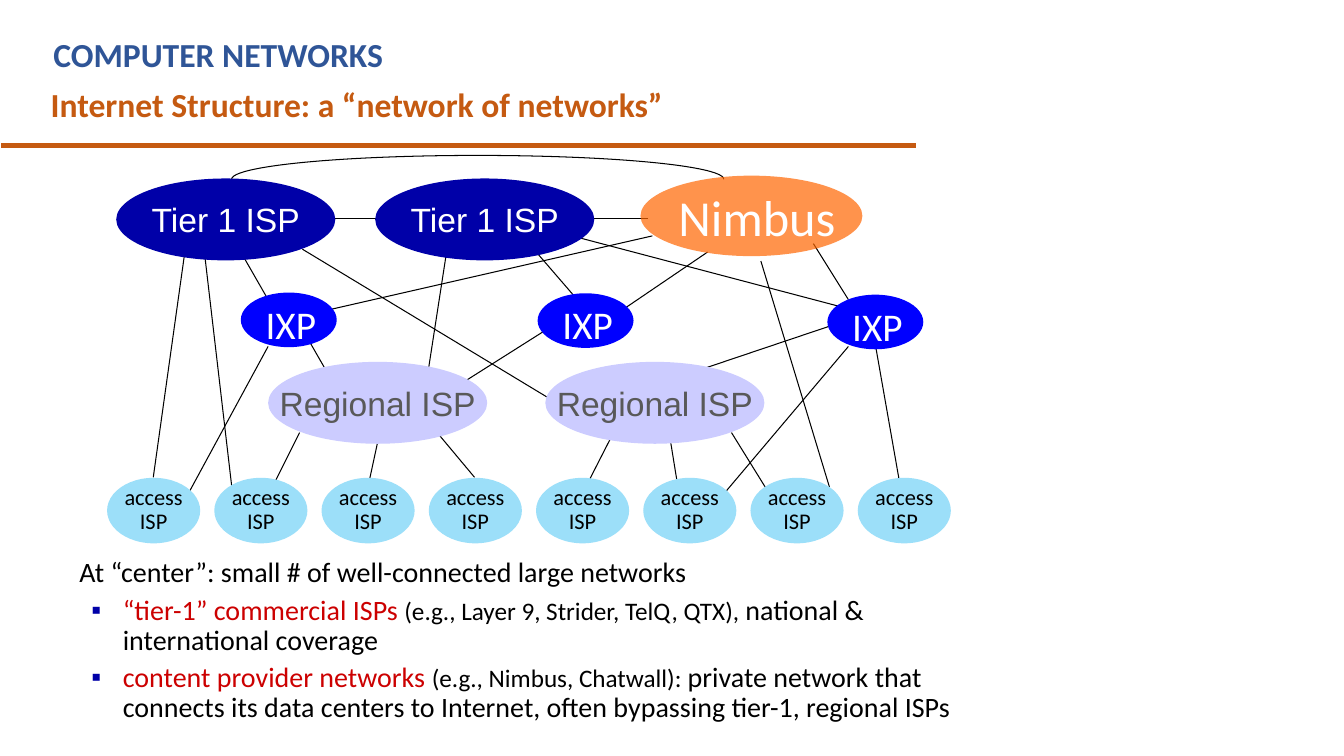
from lxml import etree
from pptx import Presentation
from pptx.dml.color import RGBColor
from pptx.enum import shapes, text
from pptx.oxml import ns
from pptx.util import Pt

COLORS = {
    "heading": "2F5597", "accent": "C55A11", "black": "000000", "white": "FFFFFF",
    "tier1": "0000A8", "regional": "CCCCFF", "regional_text": "595959",
    "access": "9CDFF9", "ixp": "0000FF", "provider": "FF6600", "term": "CC0000",
}

# Start and end of each link: x1, y1, x2, y2
LINKS = [
    # Between the top-level networks
    (278, 156, 236, 156), (463, 156, 421, 156),
    # Top-level networks to exchange points
    (172, 180, 191.5, 214), (383, 180, 414.5, 216.5), (410.5, 169, 602, 219.5),
    (466, 168.5, 216.5, 225.5), (505.5, 180, 440, 224.5), (581, 174, 606, 214),
    # Down to regional networks
    (319, 180, 306, 264), (216, 178, 395.5, 286.5), (216.5, 236, 236, 270),
    (389.5, 236, 325.5, 276.5), (600, 230.5, 497.5, 265),
    # Down to access networks
    (134, 166, 109.5, 341), (146, 180, 167, 360), (543.5, 186.5, 592.5, 348),
    (191.5, 247.5, 130.5, 360), (606, 247.5, 510.5, 360.5), (625.5, 247.5, 644.5, 355.5),
    (214, 309, 191.5, 354), (269.5, 317, 261.5, 354), (306, 301.5, 339, 341),
    (438, 309.5, 414.5, 355.5), (479, 315.5, 485.5, 355.5), (522.5, 309, 555, 361.5),
]

BULLETS = [
    [("“tier-1” commercial ISPs ", 20, "term"),
     ("(e.g., Layer 9, Strider, TelQ, QTX), ", 18, "black"),
     ("national & international coverage", 20, "black")],
    [("content provider networks ", 20, "term"),
     ("(e.g., Nimbus, Chatwall): ", 18, "black"),
     ("private network that connects its data centers to Internet, "
      "often bypassing tier-1, regional ISPs", 20, "black")],
]


def rgb(name):
    return RGBColor.from_string(COLORS[name])


def set_format(target, **values):
    for name, value in values.items():
        setattr(target, name, value)


def add_child(parent, tag, **attributes):
    return etree.SubElement(parent, ns.qn(tag), attributes)


def place(shape, left, top, width, height):
    set_format(shape, left=Pt(left), top=Pt(top), width=Pt(width), height=Pt(height))


def add_run(paragraph, content, size, color, font="Calibri", bold=False):
    run = paragraph.add_run()
    run.text = content
    set_format(run.font, name=font, size=Pt(size), bold=bold)
    run.font.color.rgb = rgb(color)


def fill_heading(shape, content, color, box):
    place(shape, *box)
    set_format(shape.text_frame, word_wrap=True, auto_size=text.MSO_AUTO_SIZE.NONE,
               vertical_anchor=text.MSO_ANCHOR.TOP)
    paragraph = shape.text_frame.paragraphs[0]
    paragraph.alignment = text.PP_ALIGN.LEFT
    add_run(paragraph, content, 24, color, bold=True)


def add_line(slide, ends, color="black", width=0.75):
    line = slide.shapes.add_connector(shapes.MSO_CONNECTOR.STRAIGHT, *map(Pt, ends))
    line.line.color.rgb = rgb(color)
    line.line.width = Pt(width)
    add_child(line._element.spPr, "a:effectLst")


def add_arc(slide, box):
    arc = slide.shapes.add_shape(shapes.MSO_SHAPE.ARC, *map(Pt, box))
    arc.shadow.inherit = False
    arc.adjustments[0] = 106.82
    arc.adjustments[1] = 0
    arc.fill.background()
    arc.line.color.rgb = rgb("black")
    arc.line.width = Pt(0.75)


def add_network(slide, box, lines, fill, size, color="white", font="Calibri",
                spacing=1.0, shift=(0, 0)):
    """Add an ellipse with a centred label; shift adds to the left and top insets."""
    network = slide.shapes.add_shape(shapes.MSO_SHAPE.OVAL, *map(Pt, box))
    network.shadow.inherit = False
    network.fill.solid()
    network.fill.fore_color.rgb = rgb(fill)
    network.line.fill.background()
    frame = network.text_frame
    set_format(frame, word_wrap=False, vertical_anchor=text.MSO_ANCHOR.MIDDLE,
               margin_left=Pt(shift[0]), margin_top=Pt(shift[1]),
               margin_right=0, margin_bottom=0)
    for index, content in enumerate(lines):
        paragraph = frame.add_paragraph() if index else frame.paragraphs[0]
        set_format(paragraph, alignment=text.PP_ALIGN.CENTER, line_spacing=spacing)
        add_run(paragraph, content, size, color, font)
    return network


def set_opacity(shape, percent):
    color = shape._element.spPr.find(ns.qn("a:solidFill"))[0]
    add_child(color, "a:alpha", val=str(percent * 1000))


def add_bullet(frame, runs):
    paragraph = frame.add_paragraph()
    properties = paragraph._p.get_or_add_pPr()
    set_format(paragraph, level=1, line_spacing=0.9, space_before=Pt(5))
    properties.set("marL", str(Pt(36)))
    properties.set("indent", str(Pt(-22.5)))
    bullet_color = add_child(properties, "a:buClr")
    add_child(bullet_color, "a:srgbClr", val=COLORS["tier1"])
    add_child(properties, "a:buFont", typeface="Arial")
    add_child(properties, "a:buChar", char="▪")
    tabs = add_child(properties, "a:tabLst")
    add_child(tabs, "a:tab", pos=str(Pt(26.5)), algn="l")
    for content, size, color in runs:
        add_run(paragraph, content, size, color)


def fill_body(body):
    place(body, 44.5, 395.5, 645, 138)
    frame = body.text_frame
    set_format(frame, word_wrap=True, auto_size=text.MSO_AUTO_SIZE.NONE,
               vertical_anchor=text.MSO_ANCHOR.TOP)
    lead = frame.paragraphs[0]
    properties = lead._p.get_or_add_pPr()
    set_format(lead, line_spacing=0.9, space_before=Pt(0))
    properties.set("marL", str(Pt(5)))
    properties.set("indent", "0")
    add_child(properties, "a:buNone")
    add_run(lead, "At “center”: small # of well-connected large networks", 20, "black")
    for runs in BULLETS:
        add_bullet(frame, runs)


def add_networks(slide):
    for left in (83, 268):
        add_network(slide, (left, 127.5, 156.5, 58.5), ["Tier 1 ISP"], "tier1", 24,
                    font="Arial")
    for left in (191.5, 389.5):
        add_network(slide, (left, 258.5, 156.5, 58.5), ["Regional ISP"], "regional", 24,
                    "regional_text", "Arial")
    for index in range(8):
        add_network(slide, (76.5 + 76.6 * index, 341.3, 66.5, 46.8), ["access", "ISP"],
                    "access", 16, "black", spacing=0.9)
    for left, top in ((172, 209), (384, 209.5), (591, 210.5)):
        add_network(slide, (left, top, 68.5, 39), ["IXP"], "ixp", 28, shift=(3, 5))
    provider = add_network(slide, (457.5, 125.5, 158.5, 57.5), ["Nimbus"], "provider", 36,
                           shift=(8, 1))
    set_opacity(provider, 70)


def main():
    presentation = Presentation()
    set_format(presentation, slide_width=Pt(960), slide_height=Pt(540))
    slide = presentation.slides.add_slide(presentation.slide_layouts[1])
    course = slide.shapes.add_textbox(0, 0, 0, 0)
    fill_heading(course, "COMPUTER NETWORKS", "heading", (31, 20.5, 590, 36))
    fill_heading(slide.shapes.title, "Internet Structure: a “network of networks”",
                 "accent", (29, 56.5, 630, 36))
    add_line(slide, (1, 104, 654, 104), "accent", 3)
    for ends in LINKS:
        add_line(slide, ends)
    add_arc(slide, (165.5, 111, 351.5, 34))
    add_networks(slide)
    fill_body(slide.placeholders[1])
    presentation.save("out.pptx")


if __name__ == "__main__":
    main()
